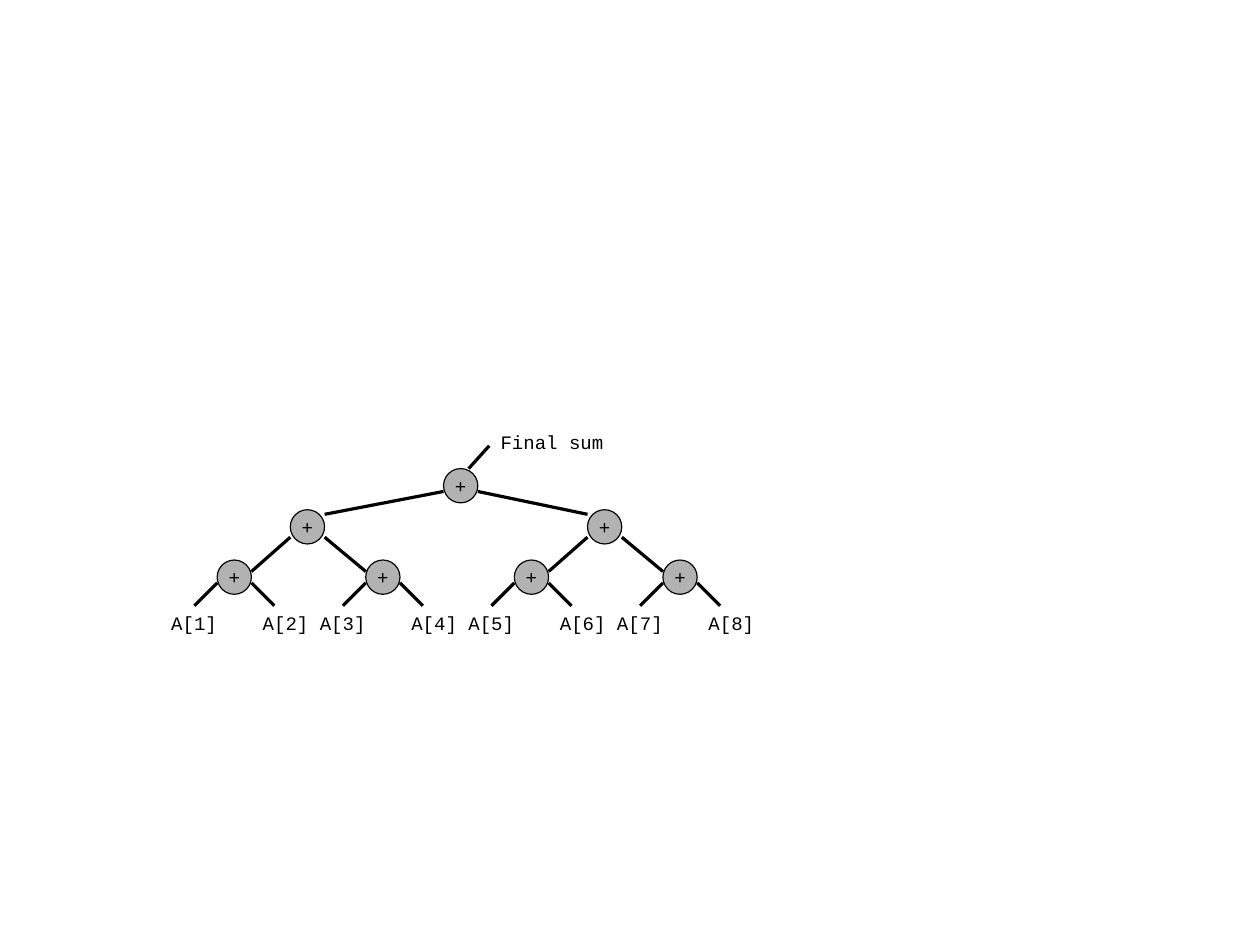
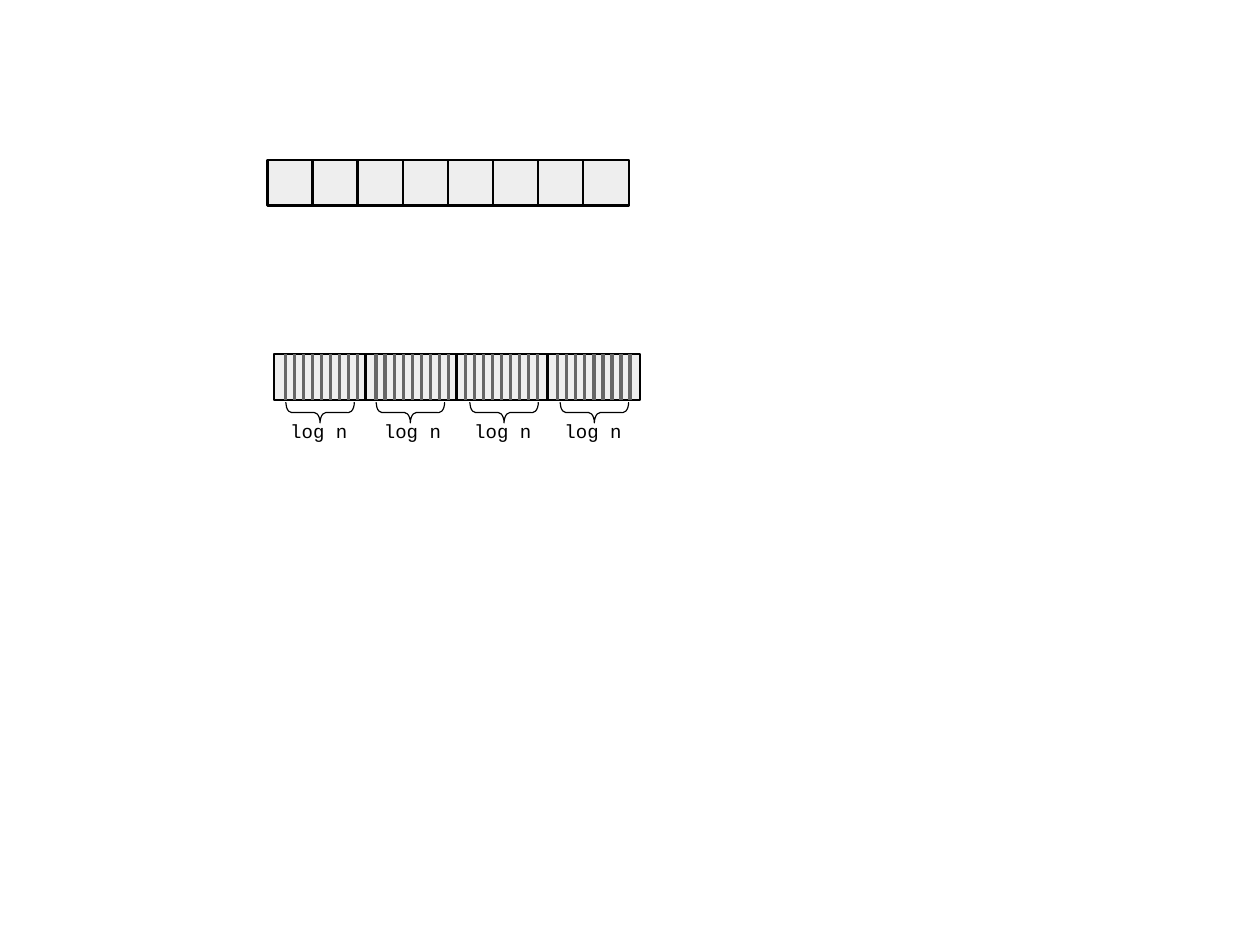
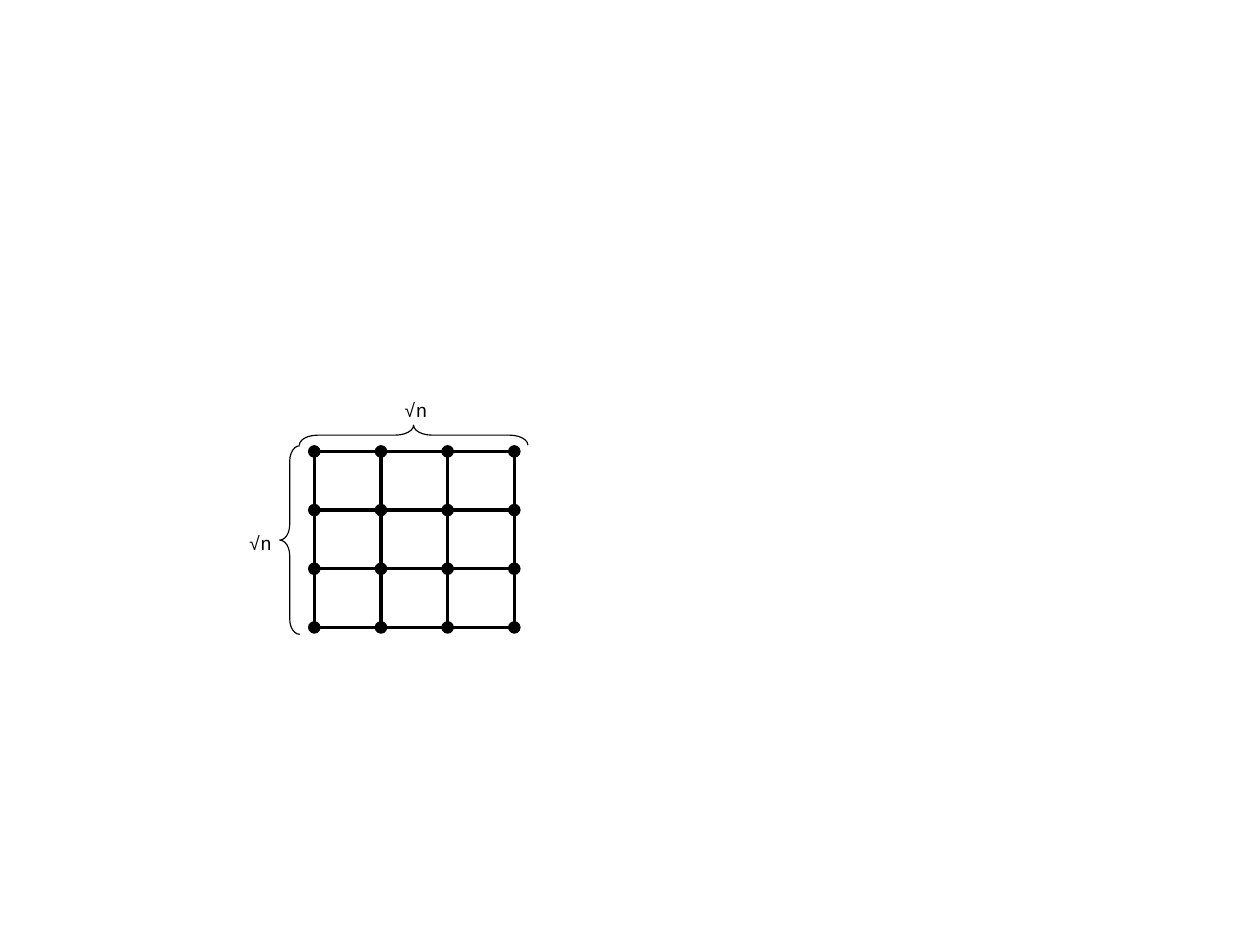
from pptx import Presentation
from pptx.util import Pt
from pptx.dml.color import RGBColor
from pptx.enum.shapes import MSO_SHAPE as SHAPE, MSO_CONNECTOR as CONN
from pptx.enum.text import MSO_ANCHOR as ANCHOR, PP_ALIGN as ALIGN
from pptx.oxml.ns import qn
from lxml import etree

BLACK, NODE, CELL, TICK = "000000", "B2B2B2", "EEEEEE", "666666"
FONT, SIZE = "Courier New", 12
HAIR, THICK = 0, 1.45

LEAVES = [("A[1]", "A[2]"), ("A[3]", "A[4]"), ("A[5]", "A[6]"), ("A[7]", "A[8]")]
LEAF_X, LEAF_Y, LEAF_STEP = 136.8, 352.8, 93.6
MIDDLE_X, MIDDLE_Y = 182.9, 321.1
ROOT_X, ROOT_Y = 279.4, 295.2
NODE_D = 21.6

CELLS, CELL_X, CELL_Y, CELL_W, CELL_STEP = 8, 168.5, 100.8, 28.8, 28.4
BLOCKS = [
    {"label": 175.7, "brace": 180, "ticks": 180},
    {"label": 234.7, "brace": 236.9, "ticks": 236.9},
    {"label": 291.6, "brace": 295.9, "ticks": 293},
    {"label": 348.5, "brace": 352.8, "ticks": 351.4},
]
BLOCK_X, BLOCK_Y, BLOCK_W, BLOCK_STEP = 172.8, 223.2, 58.3, 57.35
TICKS, TICK_STEP = 9, 5.68

GRID_N, GRID_X, GRID_Y, GRID_DX, GRID_DY, DOT_D = 4, 198, 284.4, 42, 36.95, 7.2


def color(value):
    """Turn a hex string into a colour."""
    return RGBColor.from_string(value)


def outline(sp, width, value=BLACK):
    """Set the line colour and width of a shape or connector."""
    sp.line.color.rgb = color(value)
    sp.line.width = Pt(width)


def write(sp, text):
    """Put one line of text in a shape in the shared font."""
    p = sp.text_frame.paragraphs[0]
    p.text = text
    f = p.runs[0].font
    f.name, f.size = FONT, Pt(SIZE)
    f.color.rgb = color(BLACK)


def shape(s, kind, x, y, w, h, fill=None, width=HAIR):
    """Add a preset shape, unfilled unless a colour is given."""
    sp = s.shapes.add_shape(kind, Pt(x), Pt(y), Pt(w), Pt(h))
    sp.shadow.inherit = False
    if fill:
        sp.fill.solid()
        sp.fill.fore_color.rgb = color(fill)
    else:
        sp.fill.background()
    outline(sp, width)
    return sp


def line(s, x1, y1, x2, y2, value=BLACK):
    """Add a hairline without a shadow."""
    c = s.shapes.add_connector(CONN.STRAIGHT, Pt(x1), Pt(y1), Pt(x2), Pt(y2))
    outline(c, HAIR, value)
    etree.SubElement(c._element.spPr, qn("a:effectLst"))


def label(s, text, x, y, w):
    """Add a left-aligned text label."""
    sp = s.shapes.add_textbox(Pt(x), Pt(y), Pt(w), Pt(21.6))
    sp.text_frame.word_wrap = True
    sp.text_frame.margin_right = 0
    write(sp, text)


def brace(s, x, y, w, h, turn, curve):
    """Add a brace that fills the given box once turned."""
    length, depth = max(w, h), min(w, h)
    sp = shape(s, SHAPE.RIGHT_BRACE, x + (w - depth) / 2, y + (h - length) / 2, depth, length)
    sp.rotation = turn
    sp.adjustments[0] = curve


def plus(s, x, y):
    """Add an addition node."""
    sp = shape(s, SHAPE.OVAL, x, y, NODE_D, NODE_D, NODE)
    tf = sp.text_frame
    tf.word_wrap = False
    tf.vertical_anchor = ANCHOR.MIDDLE
    tf.paragraphs[0].alignment = ALIGN.CENTER
    write(sp, "+")


def sum_tree(s):
    """Draw the tree that adds eight values in pairs."""
    for i, (left, right) in enumerate(LEAVES):
        x = LEAF_X + i * LEAF_STEP
        end = x + NODE_D
        label(s, left, x - 36, 381.6, 43.2)
        label(s, right, end, 381.6, 43.2)
        line(s, x - 14.4, 381.6, x, 367.2)
        line(s, end, 367.2, end + 14.4, 381.6)
        plus(s, x, LEAF_Y)
    for i in range(2):
        x = MIDDLE_X + i * 2 * LEAF_STEP
        child = LEAF_X + i * 2 * LEAF_STEP
        plus(s, x, MIDDLE_Y)
        line(s, child + NODE_D, 360, x, 338.4)
        line(s, x + NODE_D, 338.4, child + LEAF_STEP, 360)
    plus(s, ROOT_X, ROOT_Y)
    line(s, MIDDLE_X + NODE_D, 324, ROOT_X, 309.6)
    line(s, ROOT_X + NODE_D, 309.6, MIDDLE_X + 2 * LEAF_STEP, 324)
    label(s, "Final sum", 308.2, 267.8, 80.6)
    line(s, 295.2, 295.2, 308.2, 280.8)


def arrays(s):
    """Draw the plain array and the array split into log n blocks."""
    for i in range(CELLS):
        shape(s, SHAPE.RECTANGLE, CELL_X + i * CELL_STEP, CELL_Y, CELL_W, 28.8, CELL, THICK)
    for i in range(len(BLOCKS)):
        shape(s, SHAPE.RECTANGLE, BLOCK_X + i * BLOCK_STEP, BLOCK_Y, BLOCK_W, 28.8, CELL, THICK)
    for block in BLOCKS:
        label(s, "log n", block["label"], 260.6, 51.8)
        brace(s, block["brace"], 253.4, 43.2, 13, 90, 0.28)
        for k in range(TICKS):
            x = block["ticks"] + k * TICK_STEP
            line(s, x, BLOCK_Y, x, BLOCK_Y + 28.8, TICK)


def mesh(s):
    """Draw the square mesh with a brace along two sides."""
    xs = [GRID_X + i * GRID_DX for i in range(GRID_N)]
    ys = [GRID_Y + i * GRID_DY for i in range(GRID_N)]
    for y in ys:
        line(s, xs[0], y, xs[-1], y)
    for x in xs:
        line(s, x, ys[0], x, ys[-1])
    for y in ys:
        for x in xs:
            shape(s, SHAPE.OVAL, x - DOT_D / 2, y - DOT_D / 2, DOT_D, DOT_D, BLACK)
    brace(s, 188.6, 267.8, 144, 12.6, 270, 0.92)
    brace(s, 176.2, 280.8, 12.6, 118.8, 180, 0.77)
    label(s, "√n", 247.7, 247.7, 51.8)
    label(s, "√n", 149.8, 331.2, 51.8)


def main():
    """Build the three slides and save them."""
    prs = Presentation()
    prs.slide_width, prs.slide_height = Pt(793.7), Pt(595.3)
    for draw in (sum_tree, arrays, mesh):
        draw(prs.slides.add_slide(prs.slide_layouts[6]))
    prs.save("out.pptx")


if __name__ == "__main__":
    main()
